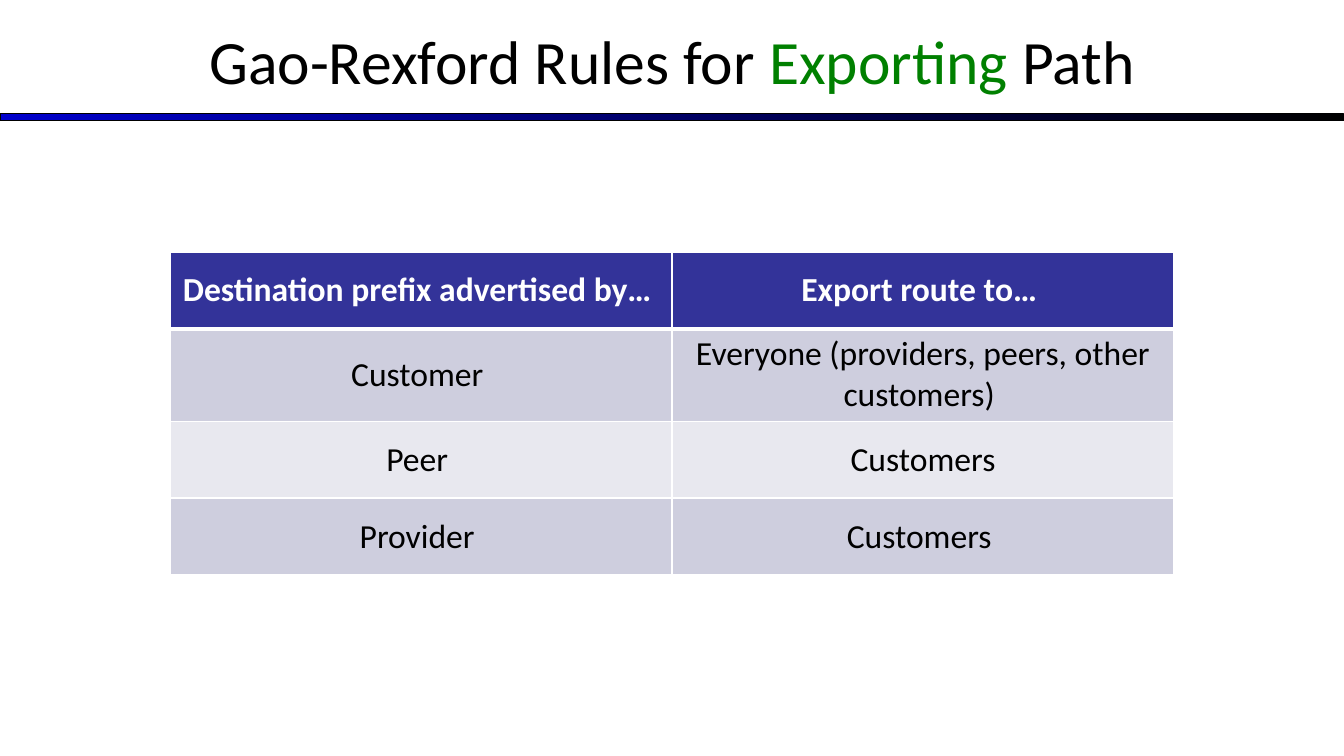
from lxml.etree import SubElement
from pptx import Presentation
from pptx.dml.color import RGBColor
from pptx.enum.shapes import MSO_SHAPE
from pptx.enum.text import MSO_ANCHOR, MSO_AUTO_SIZE, PP_ALIGN
from pptx.oxml.ns import qn
from pptx.util import Emu, Pt

FONT = "Calibri"
BLACK, WHITE, GREEN = "000000", "FFFFFF", "008000"
HEADER_FILL, BAND_FILLS = "333399", ("CECEDE", "E8E8EF")
TITLE_RUNS = [("Gao-Rexford Rules for ", BLACK), ("Exporting", GREEN), (" Path", BLACK)]
EXPORT_RULES = [
    ("Destination prefix advertised by… ", "Export route to… "),
    ("Customer ", "Everyone (providers, peers, other customers) "),
    ("Peer ", "Customers"),
    ("Provider ", "Customers "),
]
ROW_HEIGHTS = (77, 90, 77, 77)


def px(length):
    return Emu(round(length * 914400 / 100.8))


def color(hex_string):
    return RGBColor.from_string(hex_string)


def add_title(slide, left, top, width, height):
    title = slide.shapes.title
    title.left, title.top, title.width, title.height = map(px, (left, top, width, height))
    frame = title.text_frame
    frame.auto_size = MSO_AUTO_SIZE.NONE
    frame.word_wrap = True
    frame.vertical_anchor = MSO_ANCHOR.MIDDLE
    paragraph = frame.paragraphs[0]
    paragraph.alignment = PP_ALIGN.CENTER
    paragraph.font.name, paragraph.font.size = FONT, Pt(44)
    for text, run_color in TITLE_RUNS:
        run = paragraph.add_run()
        run.text = text
        run.font.color.rgb = color(run_color)


def add_divider(slide, left, top, width, height):
    divider = slide.shapes.add_shape(MSO_SHAPE.RECTANGLE, *map(px, (left, top, width, height)))
    divider.shadow.inherit = False
    divider.fill.gradient()
    divider.fill.gradient_angle = 0
    for stop, stop_color, position in zip(divider.fill.gradient_stops, ("0000CC", BLACK), (0, 1)):
        stop.color.rgb = color(stop_color)
        stop.position = position
    divider.line.color.rgb = color(BLACK)
    divider.line.width = Pt(0.75)
    # Keep the divider behind the title
    slide.shapes.title.element.addprevious(divider.element)


def add_borders(cell, bottom_width):
    properties = cell._tc.get_or_add_tcPr()
    for side, width in (("L", 1), ("R", 1), ("T", 1), ("B", bottom_width)):
        line = SubElement(properties, qn(f"a:ln{side}"), w=str(Pt(width)))
        fill = SubElement(line, qn("a:solidFill"))
        SubElement(fill, qn("a:srgbClr"), val=WHITE)


def format_cell(cell, text, is_header, fill_color):
    add_borders(cell, 3 if is_header else 1)
    cell.fill.solid()
    cell.fill.fore_color.rgb = color(fill_color)
    cell.vertical_anchor = MSO_ANCHOR.MIDDLE
    cell.text = text
    paragraph = cell.text_frame.paragraphs[0]
    paragraph.alignment = PP_ALIGN.CENTER
    font = paragraph.font
    font.name, font.size, font.bold = FONT, Pt(24), is_header
    font.color.rgb = color(WHITE if is_header else BLACK)


def add_rules_table(slide, left, top, width):
    frame = slide.shapes.add_table(len(EXPORT_RULES), len(EXPORT_RULES[0]),
                                   *map(px, (left, top, width, sum(ROW_HEIGHTS))))
    table = frame.table
    for column in table.columns:
        column.width = px(width // len(EXPORT_RULES[0]))
    for row_index, (texts, height) in enumerate(zip(EXPORT_RULES, ROW_HEIGHTS)):
        table.rows[row_index].height = px(height)
        is_header = row_index == 0
        fill_color = HEADER_FILL if is_header else BAND_FILLS[(row_index - 1) % 2]
        for column_index, text in enumerate(texts):
            format_cell(table.cell(row_index, column_index), text, is_header, fill_color)


def main():
    presentation = Presentation()
    presentation.slide_width, presentation.slide_height = px(1344), px(756)
    slide = presentation.slides.add_slide(presentation.slide_layouts[5])
    slide.background.fill.solid()
    slide.background.fill.fore_color.rgb = color(WHITE)
    add_title(slide, 0, -3, 1344, 126)
    add_divider(slide, 0, 114, 1344, 7)
    add_rules_table(slide, 170, 252, 1004)
    presentation.save("out.pptx")


if __name__ == "__main__":
    main()
